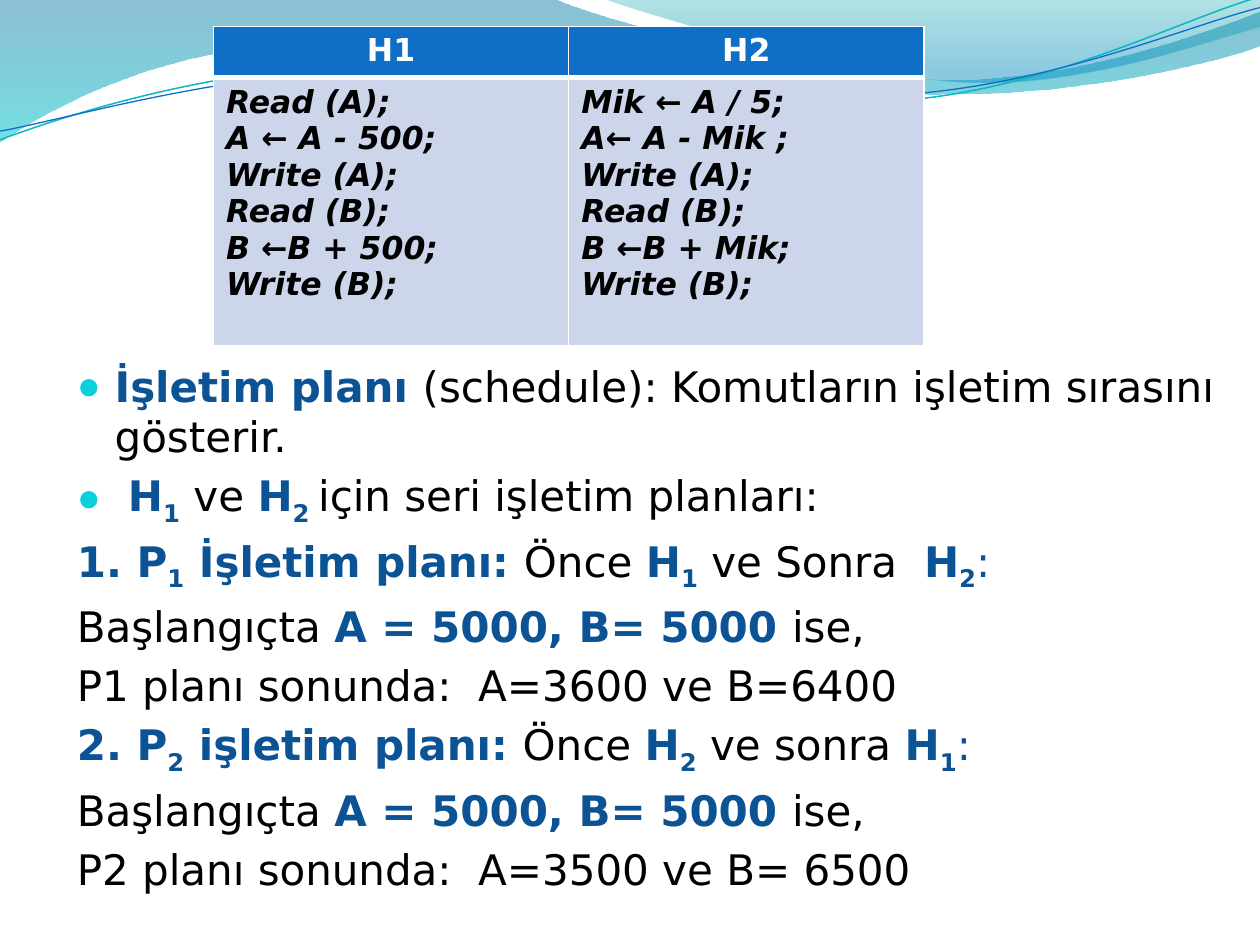
from lxml import etree
from pptx import Presentation
from pptx.dml.color import RGBColor
from pptx.enum import text
from pptx.oxml import ns
from pptx.util import Pt

FONT = "DejaVu Sans"
COLORS = {
    "black": "000000",
    "white": "FFFFFF",
    "emphasis": "0B5394",
    "header": "0F6FC6",
    "cell": "CCD5EA",
    "bullet": "0BD0D9",
    "teal line": "0AB8BF",
    "blue line": "0F6FC6",
    "wave top": "0074A1",
    "wave bottom": "00C6CF",
    "crest top": "00A1A9",
    "crest bottom": "008BBF",
}
STYLES = {
    "plain": {},
    "strong": {"color": "emphasis", "bold": True},
    "sub": {"color": "emphasis", "bold": True, "baseline": -25000},
    "tinted": {"color": "emphasis"},
}
H1 = [("H", "strong"), ("1", "sub")]
H2 = [("H", "strong"), ("2", "sub")]
START = [("Başlangıçta ", "plain"), ("A = 5000, B= 5000 ", "strong"), ("ise,", "plain")]
BULLETED = [
    [("İşletim planı ", "strong"),
     ("(schedule): Komutların işletim sırasını gösterir.", "plain")],
    [(" ", "tinted"), *H1, (" ve ", "plain"),
     ("H", "strong"), ("2 ", "sub"), ("için seri işletim planları:", "plain")],
]
PLANS = [
    [("1. P", "strong"), ("1", "sub"), (" İşletim planı: ", "strong"), ("Önce ", "plain"),
     *H1, (" ve Sonra  ", "plain"), *H2, (":", "tinted")],
    START,
    [("P1 planı sonunda:  A=3600 ve B=6400", "plain")],
    [("2. P", "strong"), ("2", "sub"), (" işletim planı: ", "strong"), ("Önce ", "plain"),
     *H2, (" ve sonra ", "plain"), *H1, (":", "tinted")],
    START,
    [("P2 planı sonunda:  A=3500 ve B= 6500", "plain")],
]
TRANSACTIONS = {
    "H1": ["Read (A);", "A ← A - 500;", "Write (A);",
           "Read (B);", "B ←B + 500;", "Write (B);"],
    "H2": ["Mik ← A / 5;", "A← A - Mik ;", "Write (A);",
           "Read (B);", "B ←B + Mik;", "Write (B);"],
}
WAVE = [(0, 0), (316.8, -0.7),
        (342.7, 12.2, 478.1, 45.4, 545.8, 45.4), (614.2, 45.4, 689.8, 18.7, 720, 6.5),
        (720.7, 25.9),
        (707.8, 31.7, 626.4, 54.7, 537.1, 54), (447.8, 54, 275, 20.2, 185, 24.5),
        (92.9, 25.9, 33.1, 59.8, -0.7, 81.4)]
CREST = [(344.9, -0.7),
         (366.5, 7.9, 491, 44.6, 553.7, 46.8), (616.3, 49.7, 691.9, 23, 720, 15.1),
         (720, 0)]
TEAL_CURVE = [(0, 79.9), (34.6, 67, 113.8, 41, 199.4, 37.4),
              (284.4, 33.8, 427, 64.1, 513.4, 57.6), (599.8, 51.1, 675.4, 10.8, 718.6, -1.4)]
BLUE_CURVE = [(0, 74.9), (33.8, 69.1, 118.1, 43.9, 203.8, 40.3),
              (290.2, 36.7, 429.8, 60.5, 516.2, 54), (601.9, 48.2, 677.5, 15.1, 720, 4.3)]


def rgb(name):
    return RGBColor.from_string(COLORS[name])


def add_child(parent, tag, **attributes):
    return etree.SubElement(parent, ns.qn(tag), {k: str(v) for k, v in attributes.items()})


def write(paragraph, content, size=18, color="black", bold=False, italic=False, baseline=0):
    run = paragraph.add_run()
    run.text = content
    font = run.font
    font.name, font.size, font.bold, font.italic = FONT, Pt(size), bold, italic
    font.color.rgb = rgb(color)
    if baseline:
        run._r.get_or_add_rPr().set("baseline", str(baseline))


def add_outline(slide, segments, close):
    points = [(Pt(x), Pt(y)) for s in segments for x, y in zip(s[::2], s[1::2])]
    builder = slide.shapes.build_freeform(*points[0], scale=1.0)
    builder.add_line_segments(points[1:], close=close)
    outline = builder.convert_to_shape()
    outline.shadow.inherit = False
    lines = iter(outline._element.spPr.findall(".//" + ns.qn("a:lnTo")))
    for segment in segments[1:]:
        line = next(lines)
        if len(segment) == 6:
            line.addprevious(curve := line.makeelement(ns.qn("a:cubicBezTo")))
            for part in (line, next(lines), next(lines)):
                curve.append(part[0])
                part.getparent().remove(part)
    return outline


def add_wave(slide, segments, stops):
    wave = add_outline(slide, segments, True)
    wave.line.fill.background()
    wave.fill.gradient()
    wave.fill.gradient_angle = 270
    for stop, (position, color, _) in zip(wave.fill.gradient_stops, stops):
        stop.position = position
        stop.color.rgb = rgb(color)
    tints = wave._element.spPr.findall(".//" + ns.qn("a:srgbClr"))
    for tint, (_, _, opacity) in zip(tints, stops):
        add_child(tint, "a:alpha", val=opacity * 1000)


def add_curve(slide, segments, color, width):
    curve = add_outline(slide, segments, False)
    curve.fill.background()
    curve.line.color.rgb = rgb(color)
    curve.line.width = Pt(width)


def format_cell(cell, fill, bottom):
    properties = cell._tc.get_or_add_tcPr()
    for side, width in (("L", 1), ("R", 1), ("T", 1), ("B", bottom)):
        border = add_child(properties, f"a:ln{side}", w=Pt(width))
        add_child(add_child(border, "a:solidFill"), "a:srgbClr", val=COLORS["white"])
    cell.fill.solid()
    cell.fill.fore_color.rgb = rgb(fill)


def add_transactions(slide):
    table = slide.shapes.add_table(2, 2, Pt(122), Pt(15.1), Pt(406), Pt(182.4)).table
    table.rows[0].height, table.rows[1].height = Pt(29.2), Pt(153.2)
    for column, (heading, commands) in enumerate(TRANSACTIONS.items()):
        header, body = table.cell(0, column), table.cell(1, column)
        format_cell(header, "header", 3)
        format_cell(body, "cell", 1)
        title = header.text_frame.paragraphs[0]
        title.alignment = text.PP_ALIGN.CENTER
        write(title, heading, color="white", bold=True)
        for index, command in enumerate(commands):
            frame = body.text_frame
            line = frame.add_paragraph() if index else frame.paragraphs[0]
            write(line, command, bold=True, italic=True)


def set_bullet(paragraph, bulleted):
    properties = paragraph._p.get_or_add_pPr()
    indent = Pt(21.6) if bulleted else 0
    properties.set("marL", str(indent))
    properties.set("indent", str(-indent))
    if not bulleted:
        add_child(properties, "a:buNone")
        return
    add_child(add_child(properties, "a:buClr"), "a:srgbClr", val=COLORS["bullet"])
    add_child(properties, "a:buSzPct", val=95000)
    add_child(properties, "a:buChar", char="●")


def fill_explanation(body):
    body.left, body.top, body.width, body.height = Pt(36.7), Pt(202.3), Pt(668.9), Pt(294.5)
    frame = body.text_frame
    frame.word_wrap = True
    frame.auto_size = text.MSO_AUTO_SIZE.NONE
    frame.vertical_anchor = text.MSO_ANCHOR.TOP
    for index, runs in enumerate(BULLETED + PLANS):
        paragraph = frame.add_paragraph() if index else frame.paragraphs[0]
        set_bullet(paragraph, index < len(BULLETED))
        paragraph.space_before = Pt(4.8 if index else 0)
        paragraph.line_spacing = 1.0
        for content, style in runs:
            write(paragraph, content, size=24, **STYLES[style])


def main():
    deck = Presentation()
    deck.slide_width, deck.slide_height = Pt(720), Pt(540)
    slide = deck.slides.add_slide(deck.slide_layouts[1])
    title = slide.shapes.title._element
    title.getparent().remove(title)
    add_wave(slide, WAVE, [(0, "wave top", 45), (1, "wave bottom", 55)])
    add_wave(slide, CREST, [(0, "crest top", 30), (0.8, "crest bottom", 45)])
    add_curve(slide, TEAL_CURVE, "teal line", 0.85)
    add_curve(slide, BLUE_CURVE, "blue line", 0.75)
    add_transactions(slide)
    fill_explanation(slide.placeholders[1])
    deck.save("out.pptx")


if __name__ == "__main__":
    main()
